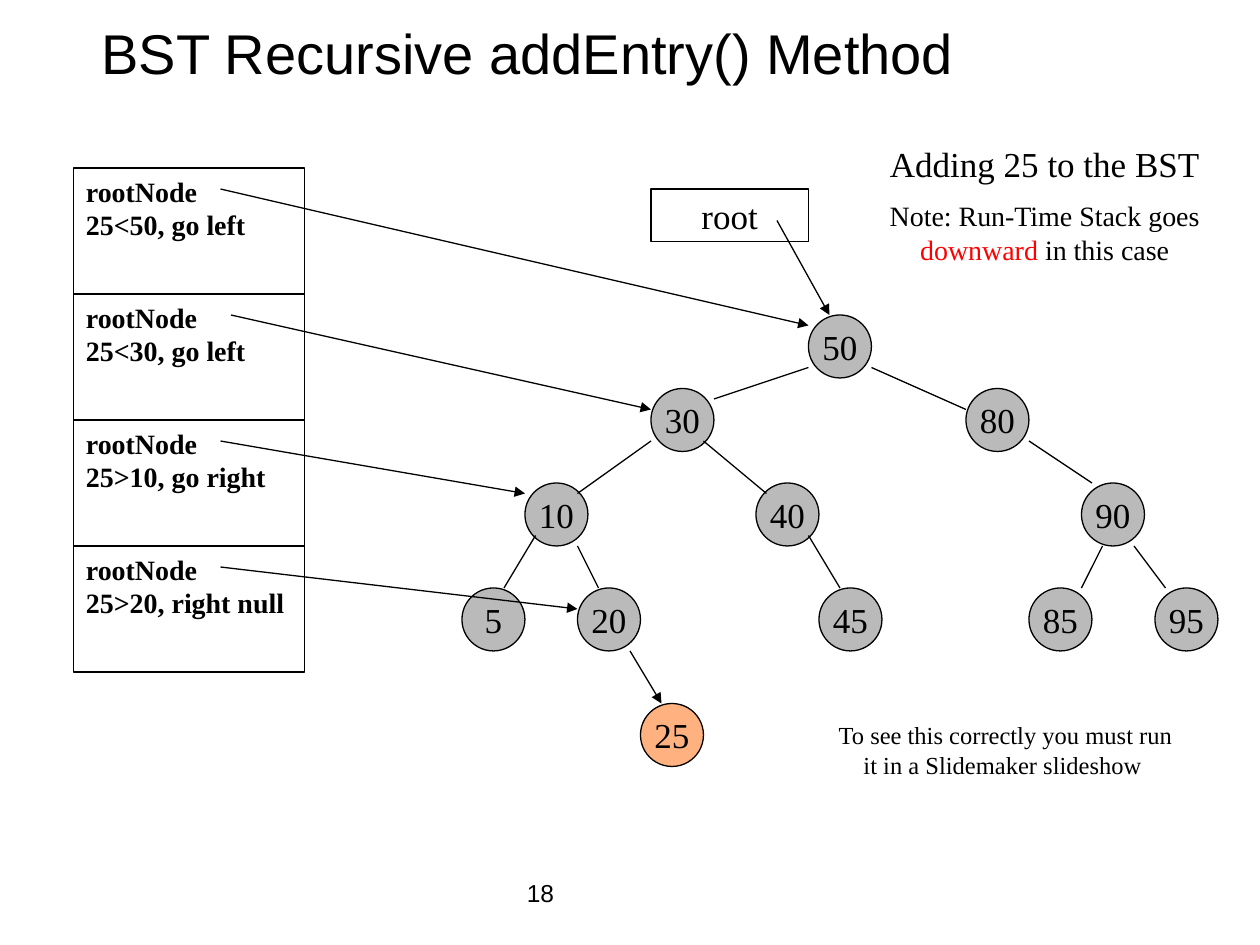
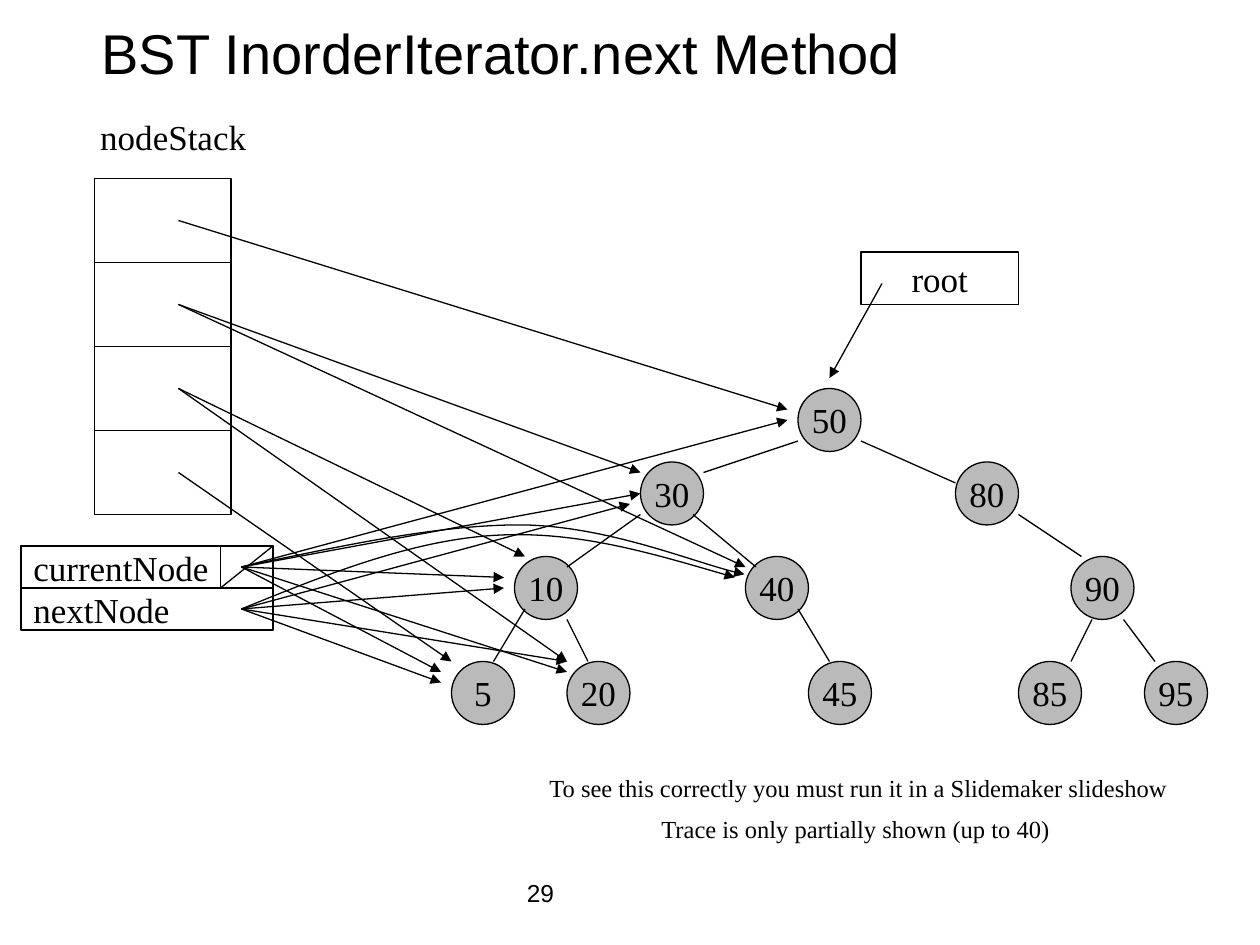
from dataclasses import dataclass

from lxml import etree
from pptx import Presentation
from pptx.dml.color import RGBColor
from pptx.enum.shapes import MSO_CONNECTOR, MSO_SHAPE
from pptx.enum.text import MSO_ANCHOR, MSO_AUTO_SIZE, PP_ALIGN
from pptx.oxml.ns import qn
from pptx.util import Inches, Pt

LEFT, CENTER = PP_ALIGN.LEFT, PP_ALIGN.CENTER
TOP, MIDDLE = MSO_ANCHOR.TOP, MSO_ANCHOR.MIDDLE
RECT, OVAL = MSO_SHAPE.RECTANGLE, MSO_SHAPE.OVAL
STRAIGHT = MSO_CONNECTOR.STRAIGHT
GROW = MSO_AUTO_SIZE.SHAPE_TO_FIT_TEXT

COLUMNS = 120  # square grid cells across a slide of 10 x 7.5 inches


@dataclass(frozen=True)
class Theme:
    ink: RGBColor = RGBColor(0, 0, 0)
    accent: RGBColor = RGBColor(0xFF, 0, 0)
    node: RGBColor = RGBColor(0x77, 0x77, 0x77)
    new_node: RGBColor = RGBColor(0xFF, 0x66, 0)
    node_alpha: int = 50000
    heading_font: str = "Arial"
    body_font: str = "Times New Roman"
    title_size: Pt = Pt(32)
    label_size: Pt = Pt(20)
    frame_size: Pt = Pt(16)
    small_size: Pt = Pt(14)
    line_width: Pt = Pt(0.75)


THEME = Theme()


def set_formats(target, formats):
    for name, value in formats.items():
        setattr(target, name, value)


class Deck:
    def __init__(self, theme):
        self.theme = theme
        self.deck = Presentation()
        self.deck.slide_width, self.deck.slide_height = Inches(10), Inches(7.5)
        self.cell = self.deck.slide_width / COLUMNS
        self.slide = None

    def emu(self, *cells):
        return [round(value * self.cell) for value in cells]

    def new_slide(self, title, number):
        self.slide = self.deck.slides.add_slide(self.deck.slide_layouts[6])
        for placeholder in list(self.slide.placeholders):
            placeholder.element.getparent().remove(placeholder.element)
        heading = {"name": self.theme.heading_font}
        self.text((7, 3.7, 106, 4), [[(title, {})]], wrap=True, line_spacing=0.7,
                  font={**heading, "size": self.theme.title_size})
        self.text((49, 82, 25, 6), [[(number, {})]],
                  font={**heading, "size": self.theme.small_size})

    def fill_text(self, shape, paragraphs, align=LEFT, anchor=MIDDLE, wrap=False,
                  font=None, line_spacing=None, half_line_before=False):
        """Each paragraph is a list of (text, font overrides) runs."""
        frame = shape.text_frame
        set_formats(frame, {"word_wrap": wrap, "vertical_anchor": anchor})
        base = {"name": self.theme.body_font, "size": self.theme.label_size,
                **(font or {})}
        for index, runs in enumerate(paragraphs):
            paragraph = frame.add_paragraph() if index else frame.paragraphs[0]
            set_formats(paragraph, {"alignment": align, "line_spacing": line_spacing})
            if half_line_before:
                paragraph.space_before = Pt(0)
                before = paragraph._p.pPr.find(qn("a:spcBef"))
                before.clear()
                etree.SubElement(before, qn("a:spcPct"), val="50000")
            for text, overrides in runs:
                run = paragraph.add_run()
                run.text = text
                formats = {"color": self.theme.ink, **base, **overrides}
                run.font.color.rgb = formats.pop("color")
                set_formats(run.font, formats)

    def text(self, box, paragraphs, **style):
        shape = self.slide.shapes.add_textbox(*self.emu(*box))
        self.fill_text(shape, paragraphs, **style)
        return shape

    def note(self, box, paragraphs, size):
        shape = self.text(box, paragraphs, align=CENTER, anchor=TOP, wrap=True,
                          font={"size": size}, half_line_before=True)
        shape.text_frame.auto_size = GROW

    def outline(self, line):
        line.color.rgb = self.theme.ink
        line.width = self.theme.line_width

    def add_arrowhead(self, line):
        etree.SubElement(line._get_or_add_ln(), qn("a:tailEnd"), type="triangle")

    def box(self, box, paragraphs=(), kind=RECT, **style):
        shape = self.slide.shapes.add_shape(kind, *self.emu(*box))
        shape.shadow.inherit = False
        shape.fill.background()
        self.outline(shape.line)
        self.fill_text(shape, paragraphs, **style)
        return shape

    def node(self, column, row, key, color):
        circle = self.box((column, row, 6, 6), [[(key, {})]], OVAL, align=CENTER)
        circle.fill.solid()
        circle.fill.fore_color.rgb = color
        tint = next(circle.element.spPr.iter(qn("a:srgbClr")))
        etree.SubElement(tint, qn("a:alpha"), val=str(self.theme.node_alpha))

    def line(self, start, end, arrow=False):
        link = self.slide.shapes.add_connector(STRAIGHT, *self.emu(*start, *end))
        self.outline(link.line)
        if arrow:
            self.add_arrowhead(link.line)
        etree.SubElement(link.element.spPr, qn("a:effectLst"))

    def arrows(self, start, ends):
        for end in ends:
            self.line(start, end, arrow=True)

    def curved_arrow(self, start, points):
        """Points come in threes: two controls and the end of each curve."""
        builder = self.slide.shapes.build_freeform(*self.emu(*start))
        builder.add_line_segments([self.emu(*point) for point in points], close=False)
        curve = builder.convert_to_shape()
        segments = list(curve.element.iter(qn("a:lnTo")))
        for first in range(0, len(segments), 3):
            bezier = etree.Element(qn("a:cubicBezTo"))
            segments[first].addprevious(bezier)
            for segment in segments[first:first + 3]:
                bezier.append(segment[0])
                segment.getparent().remove(segment)
        curve.fill.background()
        curve.shadow.inherit = False
        self.outline(curve.line)
        self.add_arrowhead(curve.line)

    def tree(self, shift_x=0, shift_y=0):
        for key, (column, row) in TREE_NODES.items():
            self.node(column + shift_x, row + shift_y, key, self.theme.node)
        for x1, y1, x2, y2 in TREE_EDGES:
            self.line((x1 + shift_x, y1 + shift_y), (x2 + shift_x, y2 + shift_y))

    def root(self, column, row, start, end):
        self.box((column, row, 15, 5), [[("root", {})]], align=CENTER)
        self.line(start, end, arrow=True)


# The search tree both slides show, in grid cells
TREE_NODES = {
    "50": (77, 30), "30": (62, 37), "80": (92, 37),
    "10": (50, 46), "40": (72, 46), "90": (103, 46),
    "5": (44, 56), "20": (55, 56), "45": (78, 56), "85": (98, 56), "95": (110, 56),
}
TREE_EDGES = [
    (77, 35, 68, 38), (83, 35, 92, 39), (62, 42, 55, 47), (67, 42, 73, 47),
    (98, 42, 104, 46), (51, 51, 48, 56), (55, 52, 57, 56), (77, 51, 80, 56),
    (105, 52, 103, 56), (108, 52, 111, 56),
]
SLIDESHOW_HINT = [(" To see this correctly you must run it in a Slidemaker slideshow", {})]

deck = Deck(THEME)

# Slide 1: recursive insertion
deck.new_slide(" BST Recursive addEntry() Method", "18")
deck.tree()
deck.note((82, 13, 35, 13.2), [
    [("Adding 25 to the BST", {"size": THEME.label_size})],
    [("Note: Run-Time Stack goes ", {}), ("downward", {"color": THEME.accent}),
     (" in this case", {})],
], THEME.frame_size)

# Call frames, each pointing at its node
calls = [
    ("25<50, go left", (21, 18), (77, 31)),
    ("25<30, go left", (22, 30), (62, 39)),
    ("25>10, go right", (21, 42), (50, 47)),
    ("25>20, right null", (21, 54), (55, 58)),
]
for level, (decision, start, target) in enumerate(calls):
    deck.box((7, 16 + 12 * level, 22, 12), [[("rootNode", {})], [(decision, {})]],
             anchor=TOP, font={"size": THEME.frame_size, "bold": True})
    deck.line(start, target, arrow=True)

# The added entry
deck.node(61, 67, "25", THEME.new_node)
deck.line((60, 62), (63, 67), arrow=True)
deck.note((78, 68, 35, 6.8), [SLIDESHOW_HINT], THEME.small_size)
deck.root(62, 18, (74, 21), (79, 30))

# Slide 2: in-order iteration
deck.new_slide(" BST InorderIterator.next Method", "29")
deck.tree(-1, 7)

# Node stack and the nodes its cells hold over time
deck.text((6, 11, 21, 4), [[("nodeStack", {})]], align=CENTER)
stack_targets = [
    [(75, 39)], [(61, 45), (71, 54)], [(50, 53), (54, 63)], [(43, 63)],
]
for level, targets in enumerate(stack_targets):
    deck.box((9, 17 + 8 * level, 13, 8))
    deck.arrows((17, 21 + 8 * level), targets)

# Iterator variables
variables = [
    ("currentNode", [(75, 40), (61, 47), (48, 55), (42, 64), (54, 64)],
     [(32.5, 52), (42, 49.9), (50, 50), (58, 50.2), (66.6, 53.8), (70.9, 54.7)]),
    ("nextNode", [(42, 65), (48, 56), (54, 63), (60, 48)],
     [(31.1, 54.7), (39.1, 51.5), (47, 51), (54.8, 50.5), (62.4, 52.8), (70, 55)]),
]
for level, (variable, targets, curve_points) in enumerate(variables):
    top = 52 + 4 * level
    deck.box((2, top, 24, 4), [[(variable, {})]])
    deck.arrows((23, top + 2), targets)
    deck.curved_arrow((23, top + 2), curve_points)
deck.box((21, 52, 5, 4))
deck.line((21, 56), (26, 52))

deck.note((50, 73, 63, 8.2),
          [SLIDESHOW_HINT, [("Trace is only partially shown (up to 40)", {})]],
          THEME.small_size)
deck.root(82, 24, (84, 27), (79, 36))

deck.deck.save("out.pptx")
